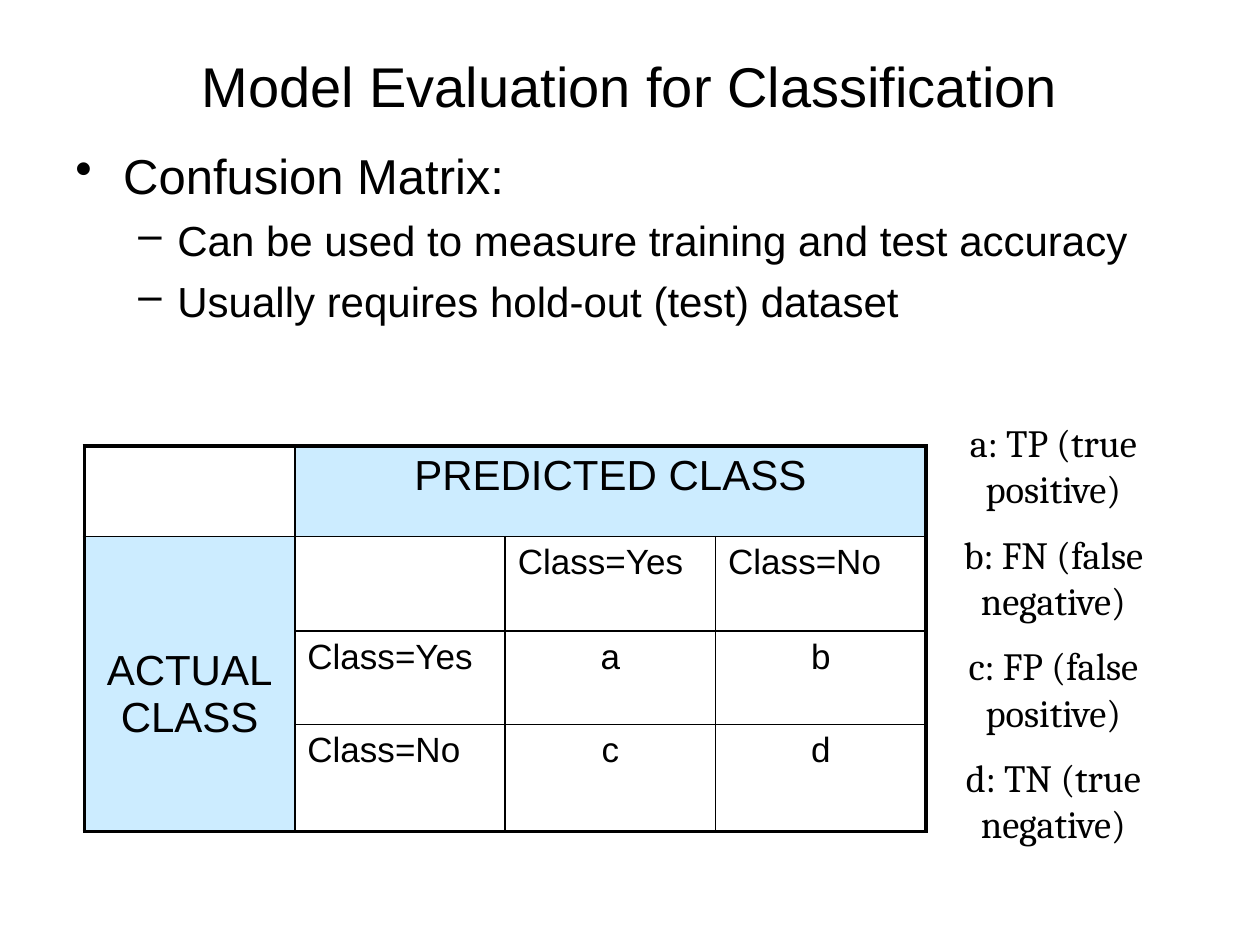
import pptx
import pptx.dml.color
import pptx.enum.text
import pptx.oxml
import pptx.oxml.ns
import pptx.util
from lxml import etree

Pt = pptx.util.Pt
Inches = pptx.util.Inches
Align = pptx.enum.text.PP_ALIGN
Anchor = pptx.enum.text.MSO_ANCHOR

COLOURS = {"ink": "000000", "paper": "FFFFFF", "header": "CCECFF"}
WIDTH, HEIGHT = 10, 7.5
COLUMN_SHARE = 0.167
ROW_SHARES = [0.096, 0.1, 0.099, 0.113]
THIN, THICK = 1, 2.25


def colour(name):
    return pptx.dml.color.RGBColor.from_string(COLOURS[name])


class SlideBuilder:
    """Places styled elements at shares of the slide's width and height."""

    def __init__(self, deck, font="Arial"):
        self.font = font
        self.page = deck.slides.add_slide(deck.slide_layouts[6])
        self.page.background.fill.solid()
        self.page.background.fill.fore_color.rgb = colour("paper")

    def area(self, left, top, width, height):
        return (Inches(left * WIDTH), Inches(top * HEIGHT),
                Inches(width * WIDTH), Inches(height * HEIGHT))

    def style(self, para, size, align=Align.LEFT, before=0, after=0, font=None):
        para.font.name = font or self.font
        para.font.size = Pt(size)
        para.font.color.rgb = colour("ink")
        para.alignment = align
        para.space_before, para.space_after = Pt(before), Pt(after)

    def text(self, area, lines, size, anchor=Anchor.TOP, **look):
        box = self.page.shapes.add_textbox(*self.area(*area))
        frame = box.text_frame
        frame.word_wrap = True
        frame.vertical_anchor = anchor
        frame.text = "\n".join(lines)
        for para in frame.paragraphs:
            self.style(para, size, **look)
        return frame

    def bullets(self, area, items):
        """Items are (level, text) pairs."""
        levels = [(28, 0.38, 0.38, "•"), (24, 0.81, 0.31, "–")]
        frame = self.text(area, [words for _, words in items], 24)
        for para, (level, _) in zip(frame.paragraphs, items):
            size, margin, hang, mark = levels[level]
            self.style(para, size, before=6)
            para.level = level
            properties = para._p.get_or_add_pPr()
            properties.set("marL", str(Inches(margin)))
            properties.set("indent", str(-Inches(hang)))
            bullet = etree.SubElement(properties, pptx.oxml.ns.qn("a:buChar"))
            bullet.set("char", mark)

    def border(self, cell, side, width):
        cell._tc.get_or_add_tcPr().append(pptx.oxml.parse_xml(
            f'<a:ln{side} {pptx.oxml.ns.nsdecls("a")} w="{Pt(width)}">'
            f'<a:solidFill><a:srgbClr val="{COLOURS["ink"]}"/></a:solidFill>'
            f'</a:ln{side}>'))

    def matrix(self, left, top, rows, merges):
        """Draws the grid; each merge is (first cell, last cell)."""
        row_count, column_count = len(rows), len(rows[0])
        area = self.area(left, top, COLUMN_SHARE * column_count, sum(ROW_SHARES))
        table = self.page.shapes.add_table(row_count, column_count, *area).table
        table.first_row = table.horz_banding = False
        for row, share in zip(table.rows, ROW_SHARES):
            row.height = Inches(share * HEIGHT)
        for column in table.columns:
            column.width = Inches(COLUMN_SHARE * WIDTH)
        for first, last in merges:
            table.cell(*first).merge(table.cell(*last))

        for r, row in enumerate(rows):
            for c, words in enumerate(row):
                cell = table.cell(r, c)
                last_row = r + (cell.span_height if cell.is_merge_origin else 1)
                last_column = c + (cell.span_width if cell.is_merge_origin else 1)
                outer = {"L": c == 0, "R": last_column == column_count,
                         "T": r == 0, "B": last_row == row_count}
                for side, is_outer in outer.items():
                    self.border(cell, side, THICK if is_outer else THIN)
                is_header = (r == 0) != (c == 0)
                cell.fill.solid()
                cell.fill.fore_color.rgb = colour("header" if is_header else "paper")
                if words:
                    cell.text = words
                    centred = is_header or (r > 1 and c > 1)
                    self.style(cell.text_frame.paragraphs[0],
                               24 if is_header else 20,
                               Align.CENTER if centred else Align.LEFT,
                               before=2, after=4)
        return table


def main():
    deck = pptx.Presentation()
    deck.slide_width, deck.slide_height = Inches(WIDTH), Inches(HEIGHT)
    slide = SlideBuilder(deck)

    slide.text((0.05, 0.04, 0.9, 0.1), ["Model Evaluation for Classification"],
               32, anchor=Anchor.MIDDLE, align=Align.CENTER)
    slide.bullets((0.05, 0.147, 0.9, 0.72), [
        (0, "Confusion Matrix:"),
        (1, "Can be used to measure training and test accuracy"),
        (1, "Usually requires hold-out (test) dataset"),
    ])

    table = slide.matrix(0.067, 0.472, [
        ["", "PREDICTED CLASS", "", ""],
        ["ACTUAL\vCLASS", "", "Class=Yes", "Class=No"],
        ["", "Class=Yes", "a", "b"],
        ["", "Class=No", "c", "d"],
    ], merges=[((0, 1), (0, 3)), ((1, 0), (3, 0))])
    table.cell(1, 0).margin_top = Inches(0.88)

    slide.text((0.715, 0.437, 0.242, 0.46), [
        "a: TP (true positive)",
        "b: FN (false negative)",
        "c: FP (false positive)",
        "d: TN (true negative)",
    ], 22, align=Align.CENTER, before=11, font="Cambria")

    deck.save("out.pptx")


if __name__ == "__main__":
    main()
